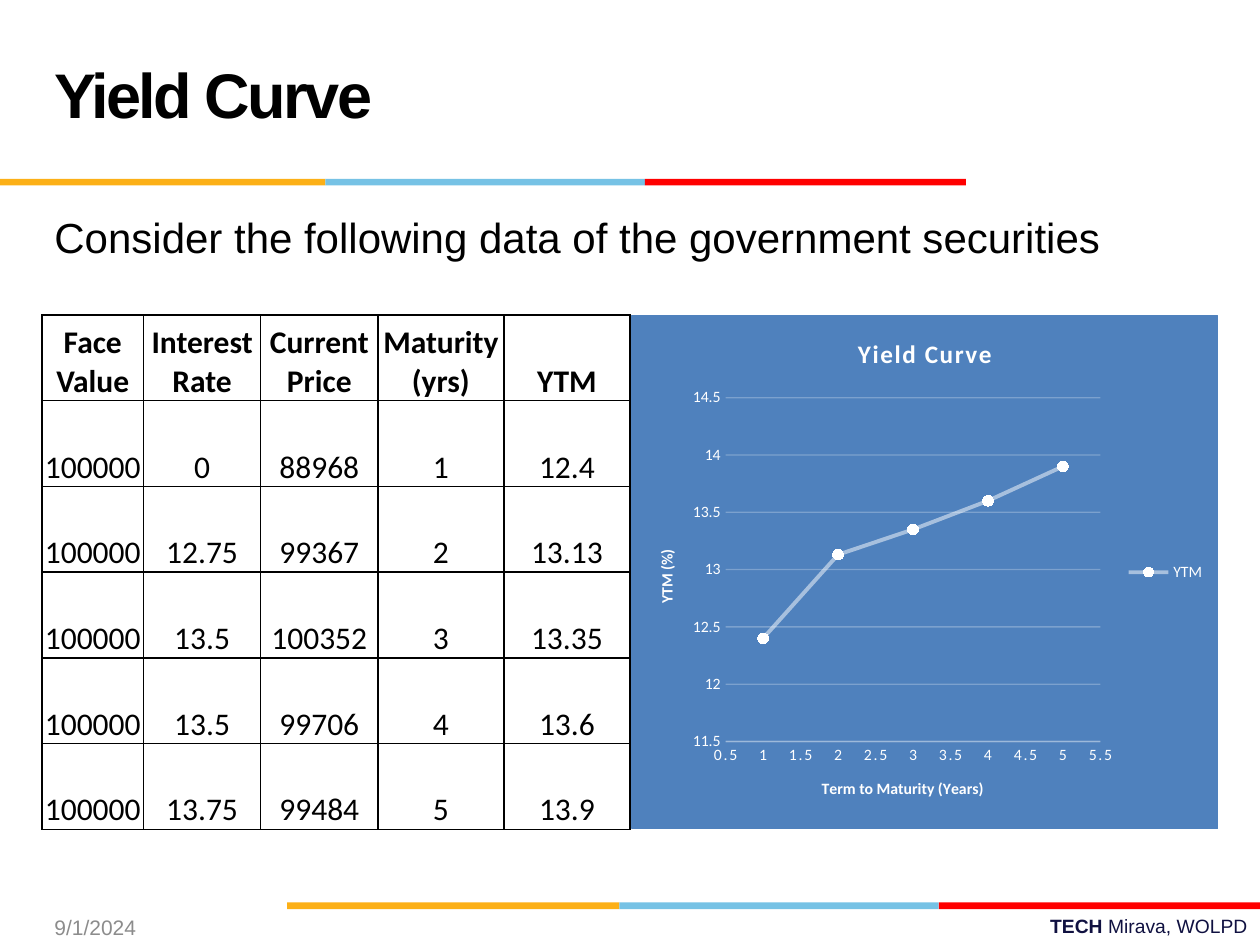
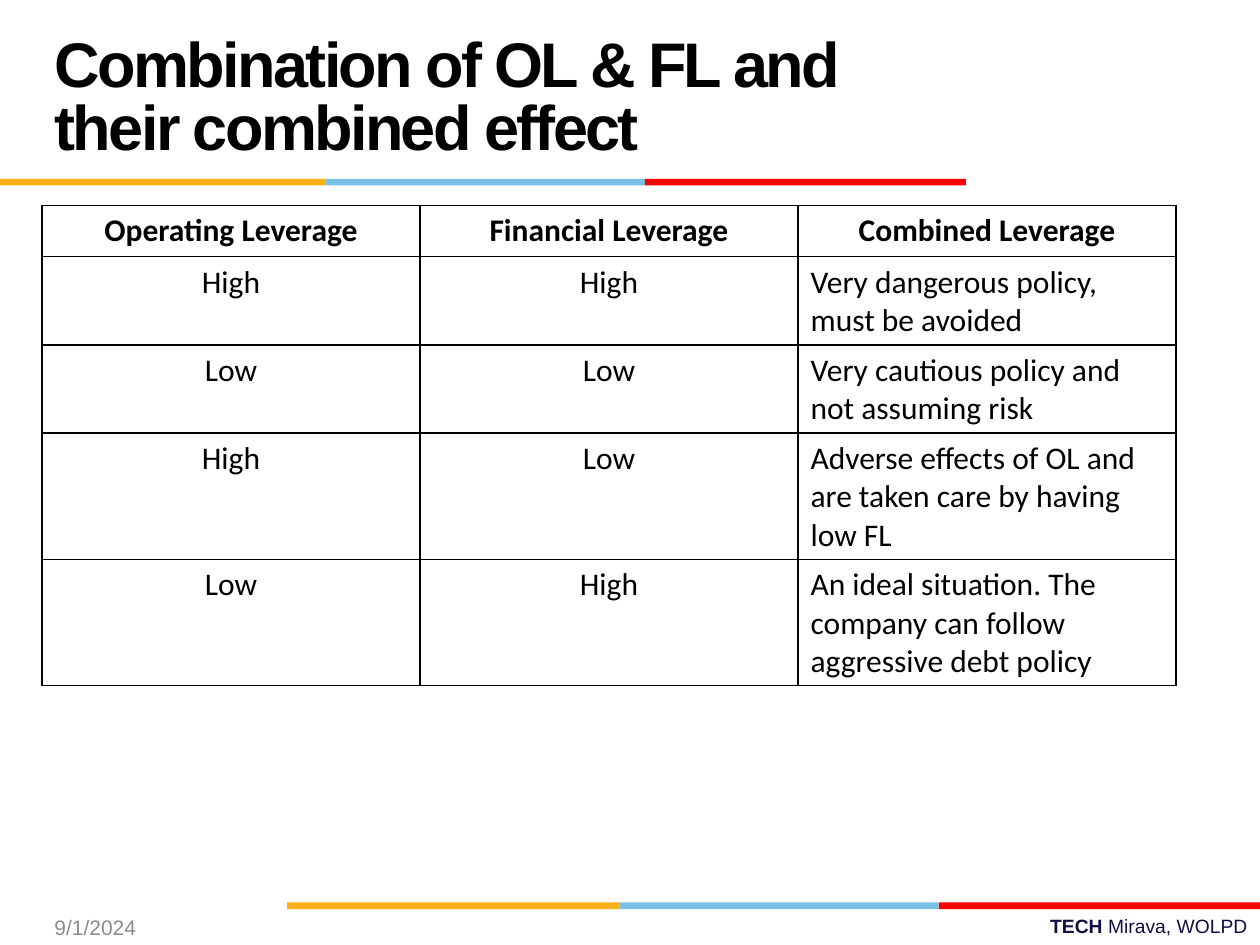
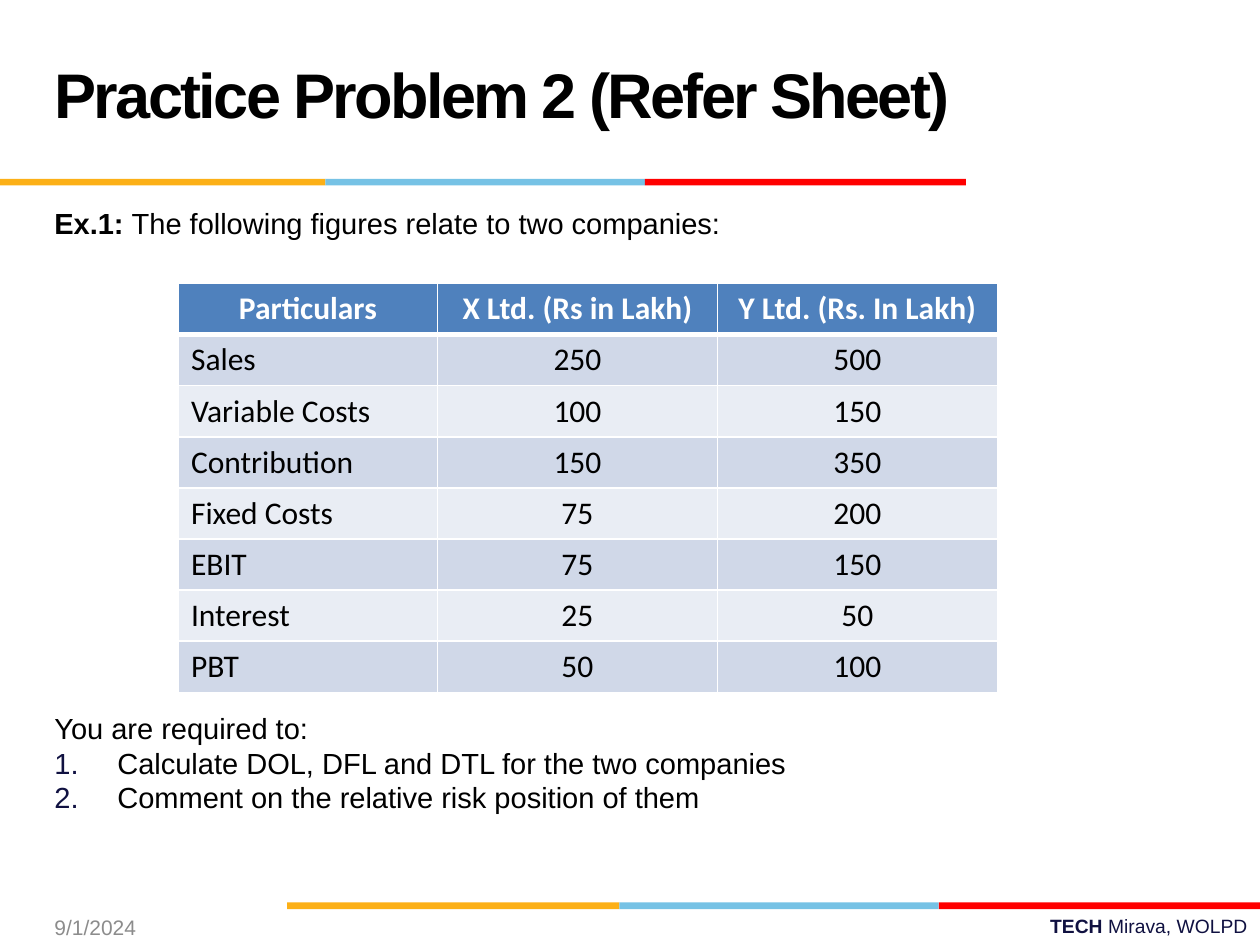
"""Builds three finance slides with shared bands, titles and footers."""
from itertools import pairwise

from lxml.etree import SubElement
from pptx import Presentation
from pptx.chart.data import XyChartData
from pptx.dml.color import RGBColor
from pptx.enum.chart import XL_CHART_TYPE, XL_LEGEND_POSITION, XL_MARKER_STYLE, XL_TICK_MARK
from pptx.enum.shapes import MSO_SHAPE
from pptx.enum.text import MSO_ANCHOR, MSO_AUTO_SIZE, PP_ALIGN
from pptx.oxml import parse_xml
from pptx.oxml.ns import nsdecls, qn
from pptx.util import Pt

BLACK = RGBColor(0x00, 0x00, 0x00)
WHITE = RGBColor(0xFF, 0xFF, 0xFF)
NAVY = RGBColor(0x10, 0x11, 0x41)
GRAY = RGBColor(0x8C, 0x8C, 0x8C)
GOLD = RGBColor(0xFC, 0xB0, 0x17)
SKY = RGBColor(0x76, 0xC2, 0xE5)
RED = RGBColor(0xFF, 0x00, 0x00)
BLUE = RGBColor(0x4F, 0x81, 0xBD)
DARK = RGBColor(0xD0, 0xD8, 0xE8)
LIGHT = RGBColor(0xE9, 0xED, 0xF4)
SANS, BODY = "Arial", "Calibri"
LEFT, TOP = 24, 117.5


class Deck:
    """Holds the style and the current slide."""

    def __init__(self):
        self.show = Presentation()
        self.show.slide_width, self.show.slide_height = Pt(720), Pt(540)

    def start(self, title, width=498):
        self.slide = self.show.slides.add_slide(self.show.slide_layouts[5])
        self.band(102.2, (0, 186, 368.6, 552))
        self.band(515.7, (164, 354, 536.5, 720))
        self.title(title, width)
        self.text((LEFT, 519, 168, 21), [[("9/1/2024", False)]], 12, GRAY, anchor=MSO_ANCHOR.MIDDLE)
        foot = [("TECH ", True), ("Mirava, WOLPD", False)]
        self.text((564, 519, 156, 21), [foot], 11, NAVY, align=PP_ALIGN.RIGHT)

    def style(self, font, size, color, bold=False, name=SANS):
        font.size, font.bold, font.name = Pt(size), bold, name
        font.color.rgb = color

    def put(self, para, text, size, color, bold=False, name=SANS):
        run = para.add_run()
        run.text = text
        self.style(run.font, size, color, bold, name)
        return run

    def band(self, top, edges):
        for (left, right), color in zip(pairwise(edges), (GOLD, SKY, RED)):
            bar = self.slide.shapes.add_shape(
                MSO_SHAPE.RECTANGLE, Pt(left), Pt(top), Pt(right - left), Pt(3.8))
            bar.shadow.inherit = False
            bar.fill.solid()
            bar.fill.fore_color.rgb = color
            bar.line.fill.background()

    def title(self, text, width):
        box = self.slide.shapes.title
        box.left, box.top, box.width, box.height = Pt(LEFT), Pt(12), Pt(width), Pt(90)
        frame = box.text_frame
        frame.word_wrap, frame.auto_size = True, MSO_AUTO_SIZE.NONE
        frame.vertical_anchor = MSO_ANCHOR.MIDDLE
        para = frame.paragraphs[0]
        para.alignment, para.line_spacing = PP_ALIGN.LEFT, Pt(36)
        run = self.put(para, text, 36, BLACK, True)
        run._r.get_or_add_rPr().set("spc", "-150")

    def text(self, place, paras, size, color=BLACK, align=PP_ALIGN.LEFT,
             anchor=MSO_ANCHOR.TOP, before=0, pitch=1.0, listed=()):
        frame = self.slide.shapes.add_textbox(*map(Pt, place)).text_frame
        frame.word_wrap, frame.vertical_anchor = True, anchor
        for num, runs in enumerate(paras):
            para = frame.add_paragraph() if num else frame.paragraphs[0]
            para.alignment, para.line_spacing = align, pitch
            para.space_before = Pt(before)
            for words, bold in runs:
                self.put(para, words, size, color, bold)
            if num in listed:
                self.number(para)

    def number(self, para):
        props = para._p.get_or_add_pPr()
        props.set("marL", str(Pt(36)))
        props.set("indent", str(-Pt(36)))
        tint = SubElement(props, qn("a:buClr"))
        SubElement(tint, qn("a:srgbClr")).set("val", str(NAVY))
        SubElement(props, qn("a:buAutoNum")).set("type", "arabicPeriod")

    def table(self, place, widths, heights, rows, lefts=(), fills=None,
              head=BLACK, edge=BLACK, rule=1, tight=False):
        size = (sum(widths), sum(heights))
        grid = self.slide.shapes.add_table(
            len(rows), len(widths), *map(Pt, (*place, *size))).table
        grid.horz_banding = grid.first_row = False
        for col, width in zip(grid.columns, widths):
            col.width = Pt(width)
        for y, (row, height) in enumerate(zip(rows, heights)):
            grid.rows[y].height = Pt(height)
            for x, words in enumerate(row):
                cell = grid.cell(y, x)
                if tight:
                    cell.vertical_anchor = MSO_ANCHOR.BOTTOM
                    cell.margin_left = cell.margin_right = cell.margin_top = Pt(0.7)
                    cell.margin_bottom = 0
                if fills:
                    cell.fill.solid()
                    cell.fill.fore_color.rgb = fills[0] if y == 0 else fills[2 - y % 2]
                else:
                    cell.fill.background()
                para = cell.text_frame.paragraphs[0]
                para.alignment = PP_ALIGN.LEFT if y and x in lefts else PP_ALIGN.CENTER
                self.put(para, words, 18, BLACK if y else head, y == 0, BODY)
                self.edges(cell, edge, rule if y == 1 else 1, rule if y == 0 else 1)

    def edges(self, cell, color, top, bottom):
        props = cell._tc.get_or_add_tcPr()
        for spot, (side, wide) in enumerate(zip("LRTB", (1, 1, top, bottom))):
            props.insert(spot, parse_xml(
                f'<a:ln{side} {nsdecls("a")} w="{Pt(wide)}"><a:solidFill>'
                f'<a:srgbClr val="{color}"/></a:solidFill></a:ln{side}>'))

    def stroke(self, line, width, alpha):
        line.color.rgb, line.width = WHITE, Pt(width)
        shade = line._get_or_add_ln().find(".//" + qn("a:srgbClr"))
        SubElement(shade, qn("a:alpha")).set("val", str(alpha * 1000))

    def label(self, holder, text, size):
        para = holder.text_frame.paragraphs[0]
        return self.put(para, text, size, WHITE, True, BODY)

    def axis(self, axis, text, low, high):
        axis.minimum_scale, axis.maximum_scale, axis.major_unit = low, high, 0.5
        axis.major_tick_mark = axis.minor_tick_mark = XL_TICK_MARK.NONE
        axis.tick_labels.number_format = "General"
        axis.tick_labels.number_format_is_linked = False
        self.style(axis.tick_labels.font, 9, WHITE, name=BODY)
        self.label(axis.axis_title, text, 9)

    def chart(self, place, name, points):
        data = XyChartData()
        series = data.add_series("YTM")
        for x, y in points:
            series.add_data_point(x, y)
        chart = self.slide.shapes.add_chart(
            XL_CHART_TYPE.XY_SCATTER_LINES, *map(Pt, place), data).chart
        self.style(chart.font, 10, WHITE, name=BODY)
        run = self.label(chart.chart_title, name, 14.4)
        run._r.get_or_add_rPr().set("spc", "100")
        chart.has_legend = True
        chart.legend.position = XL_LEGEND_POSITION.RIGHT
        chart.legend.include_in_layout = False
        self.style(chart.legend.font, 9, WHITE, name=BODY)

        across, up = chart.category_axis, chart.value_axis
        self.axis(across, "Term to Maturity (Years)", 0.5, 5.5)
        self.axis(up, "YTM (%)", 11.5, 14.5)
        across.tick_labels.font._rPr.set("spc", "100")
        across.has_major_gridlines = False
        self.stroke(across.format.line, 1, 25)
        up.format.line.fill.background()
        self.stroke(up.major_gridlines.format.line, 0.75, 25)

        curve = chart.plots[0].series[0]
        curve.smooth = False
        self.stroke(curve.format.line, 2.25, 50)
        curve.marker.style, curve.marker.size = XL_MARKER_STYLE.CIRCLE, 6
        curve.marker.format.fill.solid()
        curve.marker.format.fill.fore_color.rgb = WHITE
        curve.marker.format.line.fill.background()
        self.frame(chart)

    def frame(self, chart):
        root = chart._chartSpace
        paint = f'<a:solidFill><a:srgbClr val="{BLUE}"/></a:solidFill>'
        root.find(qn("c:chart")).addnext(parse_xml(
            f'<c:spPr {nsdecls("c", "a")}>{paint}<a:ln w="{Pt(0.75)}">{paint}</a:ln></c:spPr>'))
        area = root.find(".//" + qn("c:plotArea"))
        for old in area.findall(qn("c:layout")):
            area.remove(old)
        spots = "".join(f'<c:{key} val="{val}"/>' for key, val in (
            ("layoutTarget", "inner"), ("xMode", "edge"), ("yMode", "edge"),
            ("x", 0.16), ("y", 0.16), ("w", 0.64), ("h", 0.67)))
        area.insert(0, parse_xml(
            f'<c:layout {nsdecls("c")}><c:manualLayout>{spots}</c:manualLayout></c:layout>'))


def curve(deck):
    deck.start("Yield Curve")
    line = "Consider the following data of the government securities"
    deck.text((LEFT, TOP, 648, 40), [[(line, False)]], 24, before=5.5)
    rows = [
        ("Face Value", "Interest Rate", "Current Price", "Maturity (yrs)", "YTM"),
        ("100000", "0", "88968", "1", "12.4"),
        ("100000", "12.75", "99367", "2", "13.13"),
        ("100000", "13.5", "100352", "3", "13.35"),
        ("100000", "13.5", "99706", "4", "13.6"),
        ("100000", "13.75", "99484", "5", "13.9"),
    ]
    deck.table((LEFT, 180), (58, 67, 67, 72, 72), [49] * 6, rows, tight=True)
    points = [(int(row[3]), float(row[4])) for row in rows[1:]]
    deck.chart((360.7, 180, 335.5, 294), "Yield Curve", points)


def mix(deck):
    deck.start("Combination of OL & FL and their combined effect")
    rows = [
        ("Operating Leverage", "Financial Leverage", "Combined Leverage"),
        ("High", "High", "Very dangerous policy, must be avoided"),
        ("Low", "Low", "Very cautious policy and not assuming risk"),
        ("High", "Low", "Adverse effects of OL and are taken care by having low FL"),
        ("Low", "High", "An ideal situation. The company can follow aggressive debt policy"),
    ]
    deck.table((LEFT, TOP), [216] * 3, (29.2, 50.4, 50.4, 72, 72), rows, lefts=(2,))


def task(deck):
    deck.start("Practice Problem 2 (Refer Sheet)", 534)
    intro = [("Ex.1: ", True), ("The following figures relate to two companies:", False)]
    deck.text((LEFT, TOP, 648, 30), [intro], 16.6, before=3.8, pitch=0.8)
    rows = [
        ("Particulars", "X Ltd. (Rs in Lakh)", "Y Ltd. (Rs. In Lakh)"),
        ("Sales", "250", "500"),
        ("Variable Costs", "100", "150"),
        ("Contribution", "150", "350"),
        ("Fixed Costs", "75", "200"),
        ("EBIT", "75", "150"),
        ("Interest", "25", "50"),
        ("PBT", "50", "100"),
    ]
    deck.table((102, 162), (148, 160, 160), [29.2] * 8, rows, lefts=(0,),
               fills=(BLUE, DARK, LIGHT), head=WHITE, edge=WHITE, rule=3)
    asks = [
        "You are required to:",
        "Calculate DOL, DFL and DTL for the two companies",
        "Comment on the relative risk position of them",
    ]
    deck.text((LEFT, 406.5, 648, 70), [[(ask, False)] for ask in asks], 16.6,
              before=3.8, pitch=0.8, listed=(1, 2))


def main():
    deck = Deck()
    for build in (curve, mix, task):
        build(deck)
    deck.show.save("out.pptx")


if __name__ == "__main__":
    main()
